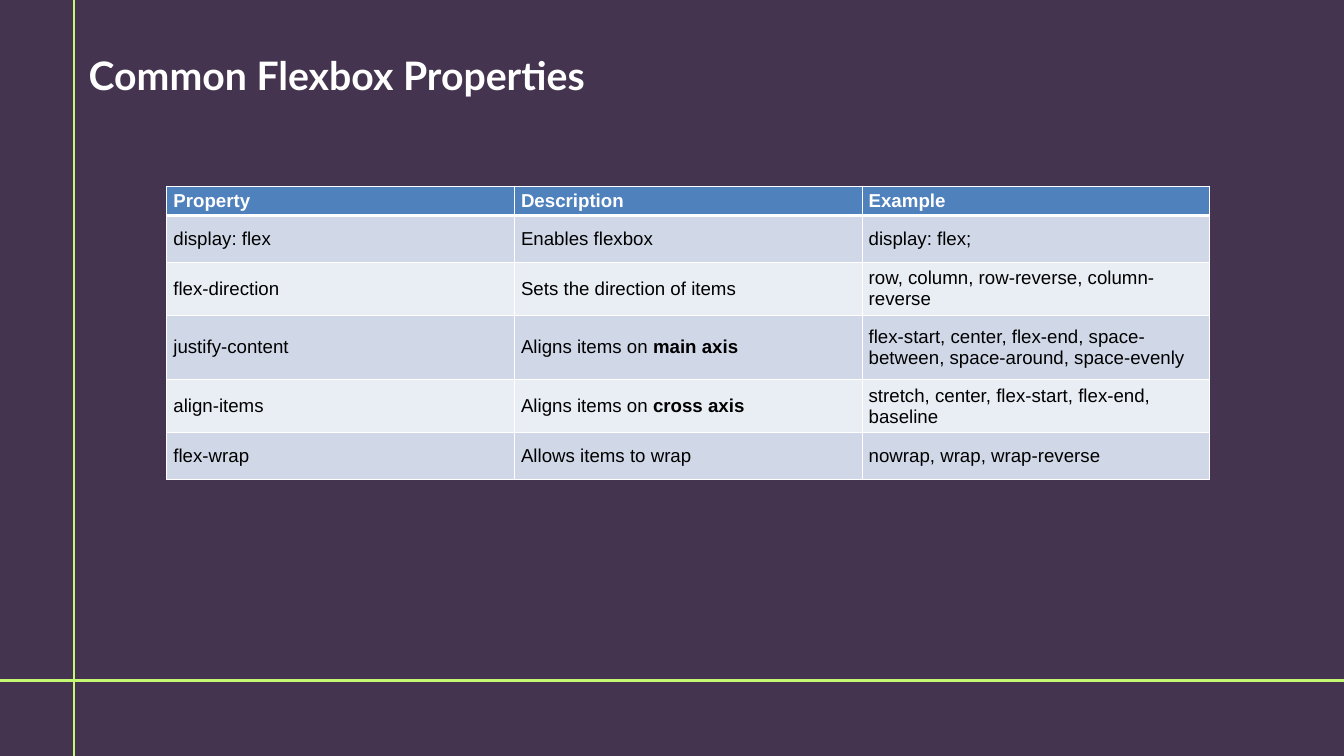
from lxml import etree
from pptx import Presentation, util as u
from pptx.dml.color import RGBColor
from pptx.enum import shapes, text
from pptx.oxml.ns import qn

WIDTH, HEIGHT = u.Inches(20), u.Inches(11.25)
PLUM = RGBColor(0x44, 0x34, 0x4F)
LIME = RGBColor(0xC2, 0xF9, 0x70)
WHITE = RGBColor(0xFF, 0xFF, 0xFF)
BLACK = RGBColor(0x00, 0x00, 0x00)
HEADER_BLUE = RGBColor(0x4F, 0x81, 0xBD)
BANDS = (RGBColor(0xD0, 0xD8, 0xE8), RGBColor(0xE9, 0xED, 0xF4))

HEADINGS = ("Property", "Description", "Example")
PROPERTIES = (
    ("display: flex", "Enables flexbox", "display: flex;"),
    ("flex-direction", "Sets the direction of items",
     "row, column, row-reverse, column-reverse"),
    ("justify-content", "Aligns items on **main axis",
     "flex-start, center, flex-end, space-between, space-around, space-evenly"),
    ("align-items", "Aligns items on **cross axis",
     "stretch, center, flex-start, flex-end, baseline"),
    ("flex-wrap", "Allows items to wrap", "nowrap, wrap, wrap-reverse"),
)
ROW_HEIGHTS = (0.44, 0.69, 0.79, 0.96, 0.79, 0.69)


def share(x, y, width, height):
    """Return a box given as shares of the slide's size."""
    return int(x * WIDTH), int(y * HEIGHT), int(width * WIDTH), int(height * HEIGHT)


def style_run(run, font, size, color, bold):
    """Give a run its typeface, size, colour and weight."""
    run.font.name, run.font.size, run.font.bold = font, u.Pt(size), bold
    run.font.color.rgb = color


def add_rule(slide, start, end):
    """Draw a lime rule between two points given as shares of the slide."""
    rule = slide.shapes.add_connector(
        shapes.MSO_CONNECTOR.STRAIGHT,
        int(start[0] * WIDTH), int(start[1] * HEIGHT),
        int(end[0] * WIDTH), int(end[1] * HEIGHT))
    rule.line.color.rgb, rule.line.width = LIME, u.Pt(3)
    etree.SubElement(rule._element.spPr, qn("a:effectLst"))


def add_title(slide, box, wording):
    """Place and format the title placeholder in the box."""
    title = slide.shapes.title
    title.left, title.top, title.width, title.height = box
    frame = title.text_frame
    frame.text = wording
    frame.margin_left = frame.margin_top = frame.margin_right = frame.margin_bottom = 0
    frame.vertical_anchor = text.MSO_ANCHOR.TOP
    frame.auto_size = text.MSO_AUTO_SIZE.SHAPE_TO_FIT_TEXT
    frame.word_wrap = True
    frame.paragraphs[0].alignment = text.PP_ALIGN.LEFT
    style_run(frame.paragraphs[0].runs[0], "Lato", 42, WHITE, True)


def add_borders(cell, top, bottom):
    """Outline a cell in white with the given top and bottom widths."""
    properties = cell._tc.get_or_add_tcPr()
    for side, points in (("L", 1), ("R", 1), ("T", top), ("B", bottom)):
        border = etree.SubElement(properties, qn(f"a:ln{side}"), w=str(u.Pt(points)))
        fill = etree.SubElement(border, qn("a:solidFill"))
        etree.SubElement(fill, qn("a:srgbClr"), val=str(WHITE))


def fill_cell(cell, wording, color, fill, header):
    """Write a cell, with the part after ** in bold."""
    paragraph = cell.text_frame.paragraphs[0]
    for index, part in enumerate(wording.split("**")):
        run = paragraph.add_run()
        run.text = part
        style_run(run, "Arial", 20, color, header or index > 0)
    cell.vertical_anchor = text.MSO_ANCHOR.MIDDLE
    cell.fill.solid()
    cell.fill.fore_color.rgb = fill


def add_property_table(slide, box):
    """Build the banded property table in the box, with equal columns."""
    rows = (HEADINGS,) + PROPERTIES
    table = slide.shapes.add_table(len(rows), len(HEADINGS), *box).table
    for column in table.columns:
        column.width = box[2] // len(HEADINGS)
    for r, (wordings, height) in enumerate(zip(rows, ROW_HEIGHTS)):
        table.rows[r].height = int(box[3] * height / sum(ROW_HEIGHTS))
        header = r == 0
        color = WHITE if header else BLACK
        fill = HEADER_BLUE if header else BANDS[(r - 1) % 2]
        for c, wording in enumerate(wordings):
            cell = table.cell(r, c)
            add_borders(cell, 3 if r == 1 else 1, 3 if header else 1)
            fill_cell(cell, wording, color, fill, header)


def main():
    """Build and save the slide."""
    deck = Presentation()
    deck.slide_width, deck.slide_height = WIDTH, HEIGHT
    slide = deck.slides.add_slide(deck.slide_layouts[5])
    slide.background.fill.solid()
    slide.background.fill.fore_color.rgb = PLUM
    add_rule(slide, (0.055, 1), (0.055, 0))
    add_rule(slide, (1, 0.9), (0, 0.9))
    add_title(slide, share(0.066, 0.0684, 0.611, 0.063), "Common Flexbox Properties")
    add_property_table(slide, share(0.124, 0.2462, 0.776, 0.3876))
    deck.save("out.pptx")


if __name__ == "__main__":
    main()
